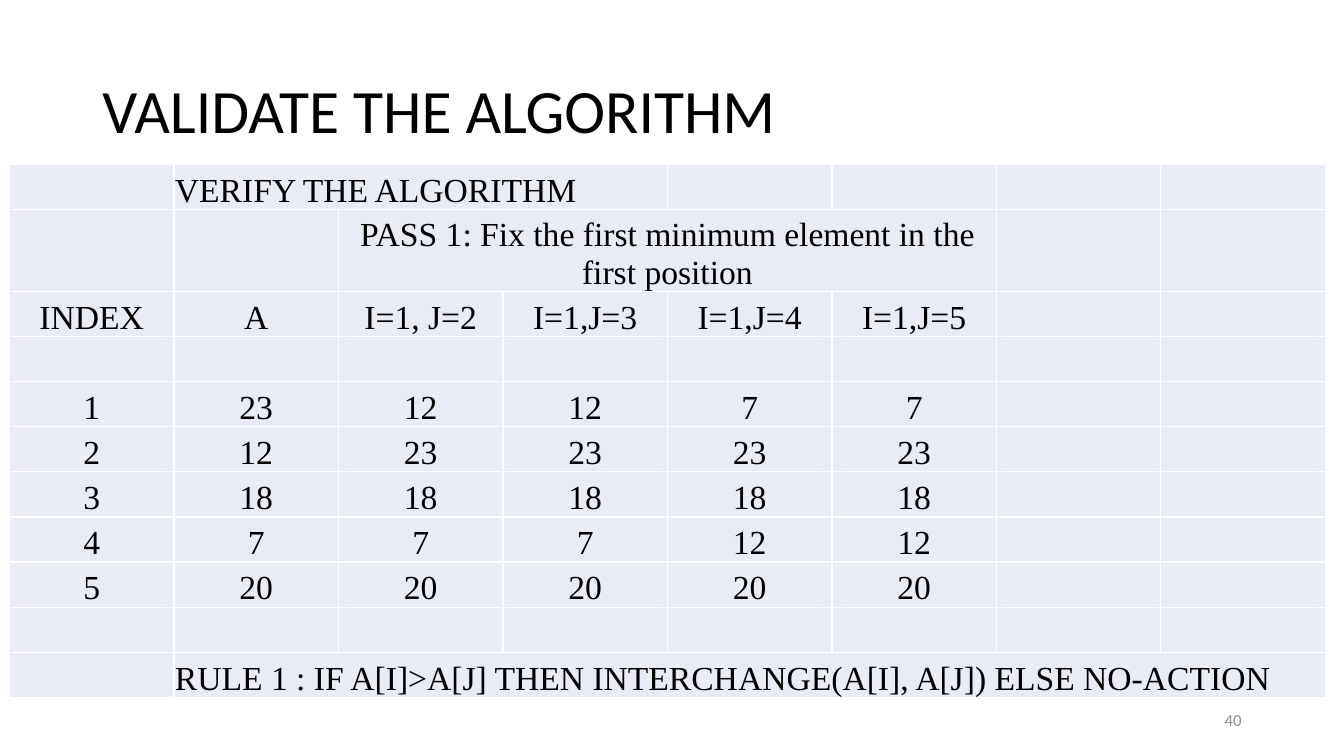
from lxml import etree
from pptx import Presentation
from pptx.dml.color import RGBColor
from pptx.enum import text
from pptx.oxml import ns
from pptx.util import Pt

BLACK = RGBColor(0x00, 0x00, 0x00)
GRAY = RGBColor(0x8C, 0x8C, 0x8C)
WHITE = RGBColor(0xFF, 0xFF, 0xFF)
PALE_BLUE = RGBColor(0xE9, 0xEB, 0xF5)

COLUMN_COUNT = 8
COLUMN_WIDTH = 117.5
ROW_HEIGHT = 32.25

ROWS = [
    ["", "VERIFY THE ALGORITHM"],
    ["", "", "PASS 1: Fix the first minimum element in the first position"],
    ["INDEX", "A", "I=1, J=2", "I=1,J=3", "I=1,J=4", "I=1,J=5"],
    [],
    ["1", "23", "12", "12", "7", "7"],
    ["2", "12", "23", "23", "23", "23"],
    ["3", "18", "18", "18", "18", "18"],
    ["4", "7", "7", "7", "12", "12"],
    ["5", "20", "20", "20", "20", "20"],
    [],
    ["", "RULE 1 : IF A[I]>A[J] THEN INTERCHANGE(A[I], A[J]) ELSE NO-ACTION"],
]
SPANS = [(0, 1, 3), (1, 2, 5), (10, 1, 7)]
LEFT_ALIGNED = [(0, 1), (10, 1)]


def style_paragraph(paragraph, font_name, size, color, alignment):
    paragraph.alignment = alignment
    paragraph.font.name = font_name
    paragraph.font.size = Pt(size)
    paragraph.font.color.rgb = color


def add_label(slide, content, box, size, color, alignment):
    shape = slide.shapes.add_textbox(*map(Pt, box))
    frame = shape.text_frame
    frame.word_wrap = True
    frame.vertical_anchor = text.MSO_ANCHOR.MIDDLE
    paragraph = frame.paragraphs[0]
    paragraph.text = content
    paragraph.line_spacing = 0.9
    style_paragraph(paragraph, "Calibri", size, color, alignment)


def add_borders(cell):
    properties = cell._tc.get_or_add_tcPr()
    for side in ("lnL", "lnR", "lnT", "lnB"):
        line = etree.SubElement(properties, ns.qn(f"a:{side}"), w=str(Pt(1)))
        fill = etree.SubElement(line, ns.qn("a:solidFill"))
        etree.SubElement(fill, ns.qn("a:srgbClr"), val=str(WHITE))


def fill_cell(cell, content, alignment):
    add_borders(cell)
    cell.fill.solid()
    cell.fill.fore_color.rgb = PALE_BLUE
    cell.vertical_anchor = text.MSO_ANCHOR.BOTTOM
    cell.margin_left = cell.margin_right = cell.margin_top = Pt(0.75)
    cell.margin_bottom = 0
    paragraph = cell.text_frame.paragraphs[0]
    paragraph.text = content
    style_paragraph(paragraph, "Times New Roman", 24, BLACK, alignment)


def add_pass_table(slide):
    width = COLUMN_WIDTH * COLUMN_COUNT
    height = ROW_HEIGHT * len(ROWS)
    table = slide.shapes.add_table(
        len(ROWS), COLUMN_COUNT, Pt(6.75), Pt(117.5), Pt(width), Pt(height)
    ).table
    table.first_row = False
    table.horz_banding = False
    for row, values in enumerate(ROWS):
        for column in range(COLUMN_COUNT):
            content = values[column] if column < len(values) else ""
            is_left = (row, column) in LEFT_ALIGNED
            alignment = text.PP_ALIGN.LEFT if is_left else text.PP_ALIGN.CENTER
            fill_cell(table.cell(row, column), content, alignment)
    for row, first, last in SPANS:
        table.cell(row, first).merge(table.cell(row, last))


def main():
    presentation = Presentation()
    presentation.slide_width = Pt(960)
    presentation.slide_height = Pt(540)
    slide = presentation.slides.add_slide(presentation.slide_layouts[6])
    add_label(slide, "VALIDATE THE ALGORITHM", (66, 28.75, 828, 104.4),
              44, BLACK, text.PP_ALIGN.LEFT)
    add_label(slide, "40", (678, 500.5, 216, 28.75), 12, GRAY, text.PP_ALIGN.RIGHT)
    add_pass_table(slide)
    presentation.save("out.pptx")


if __name__ == "__main__":
    main()
